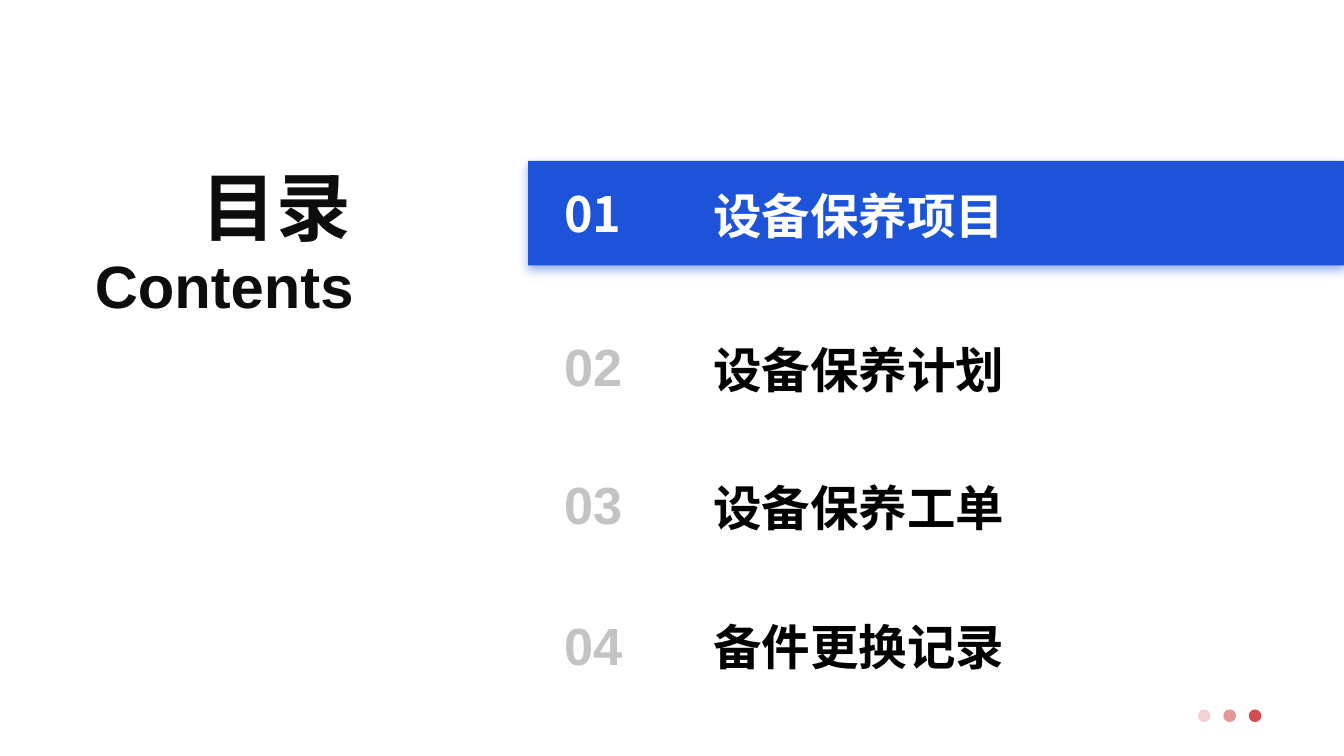
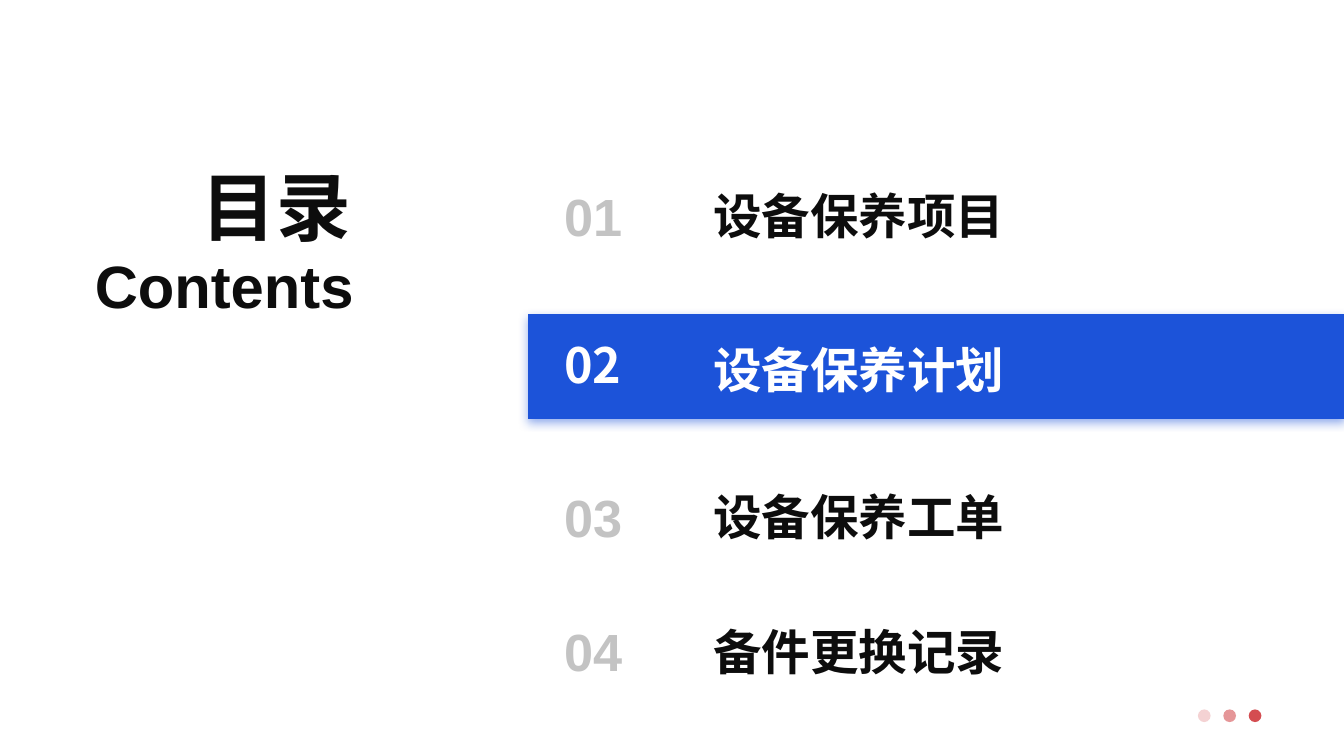
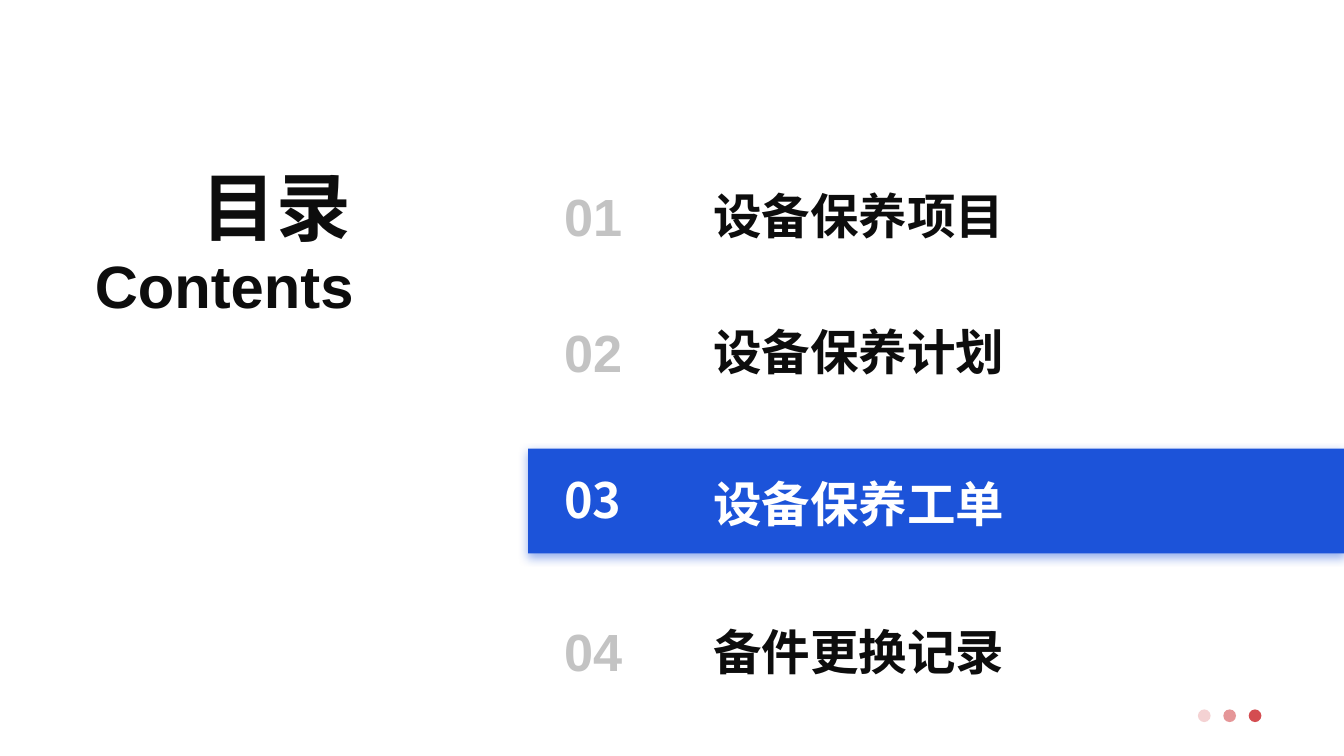
from pptx import Presentation
from pptx.dml.color import RGBColor
from pptx.enum import shapes, text
from pptx.oxml import ns
from pptx.util import Cm, Pt
from lxml import etree

BLUE, RED, WHITE = "1C53D9", "D44D51", "FFFFFF"
BLACK, INK, GREY = "000000", "0D0D0D", "C3C3C3"
CHINESE, LATIN = "Noto Sans CJK SC", "Arial"

ENTRIES = ["设备保养项目", "设备保养计划", "设备保养工单", "备件更换记录"]
NUMBER_LEFT, LABEL_LEFT = 10.41, 13.23
BAND_LEFT, BAND_HEIGHT, BAND_RISE = 13.23 - 3.25, 1.98, 0.36
SLIDE_WIDTH, SLIDE_HEIGHT = 25.4, 14.29

# Active entry, label colour, then (number top, label top) of each entry
AGENDAS = [
    (0, BLACK, [(3.35, 3.4), (6.2, 6.3), (8.81, 8.92), (11.46, 11.53)]),
    (1, INK, [(3.35, 3.4), (6.2, 6.3), (9.04, 9.09), (11.58, 11.63)]),
    (2, INK, [(3.35, 3.4), (5.92, 5.97), (8.76, 8.84), (11.58, 11.63)]),
]


def rgb(value):
    return RGBColor.from_string(value)


def add_child(parent, tag, **attributes):
    return etree.SubElement(parent, ns.qn(tag), attributes)


def add_text(slide, content, box, size, font, color, align="LEFT", wrap=False):
    """Add a bold one-line text box; box is left, top, width, height in cm."""
    frame = slide.shapes.add_textbox(*map(Cm, box)).text_frame
    frame.word_wrap = wrap
    frame.auto_size = text.MSO_AUTO_SIZE.SHAPE_TO_FIT_TEXT
    paragraph = frame.paragraphs[0]
    paragraph.alignment = text.PP_ALIGN[align]
    run = paragraph.add_run()
    run.text = content
    for name, value in {"size": Pt(size), "bold": True, "name": font}.items():
        setattr(run.font, name, value)
    run.font.color.rgb = rgb(color)
    add_child(run.font._element, "a:ea", typeface=font)


def add_filled_shape(parent, kind, box, color, opacity=100):
    shape = parent.shapes.add_shape(kind, *map(Cm, box))
    shape.shadow.inherit = False
    shape.fill.solid()
    shape.fill.fore_color.rgb = rgb(color)
    shape.line.fill.background()
    if opacity < 100:
        fill = shape._element.spPr.find(ns.qn("a:solidFill"))
        add_child(fill[0], "a:alpha", val=str(opacity * 1000))
    return shape


def add_band(slide, top):
    """Add the highlight band with its soft shadow below."""
    box = (BAND_LEFT, top, SLIDE_WIDTH - BAND_LEFT, BAND_HEIGHT)
    band = add_filled_shape(slide, shapes.MSO_SHAPE.RECTANGLE, box, BLUE)
    effects = band._element.spPr.find(ns.qn("a:effectLst"))
    shadow = add_child(effects, "a:outerShdw", blurRad=str(Pt(5)), dist=str(Pt(2)),
                       dir="5400000", algn="t", rotWithShape="0")
    color = add_child(shadow, "a:srgbClr", val=BLUE)
    add_child(color, "a:alpha", val="46000")


def add_heading(slide):
    add_text(slide, "目录", (3.53, 2.92, 3.35, 1.96), 40, CHINESE, INK, "RIGHT")
    add_text(slide, "Contents", (1.5, 4.57, 5.44, 1.62), 32, LATIN, INK, "RIGHT")


def add_dots(slide):
    group = slide.shapes.add_group_shape()
    for index, opacity in enumerate((25, 59, 100)):
        box = (22.64 + 0.48 * index, 13.41, 0.24, 0.24)
        add_filled_shape(group, shapes.MSO_SHAPE.OVAL, box, RED, opacity)


def add_entry(slide, number, label, tops, label_color, active):
    number_top, label_top = tops
    if active:
        add_band(slide, label_top - BAND_RISE)
        add_text(slide, number, (NUMBER_LEFT, number_top, 1.6, 1.45), 26, CHINESE, WHITE)
    else:
        add_text(slide, number, (NUMBER_LEFT, number_top, 1.75, 1.45), 28, LATIN, GREY,
                 wrap=True)
    add_text(slide, label, (LABEL_LEFT, label_top, 6.02, 1.37), 26, CHINESE,
             WHITE if active else label_color)


def main():
    presentation = Presentation()
    presentation.slide_width = Cm(SLIDE_WIDTH)
    presentation.slide_height = Cm(SLIDE_HEIGHT)
    for active, label_color, rows in AGENDAS:
        slide = presentation.slides.add_slide(presentation.slide_layouts[6])
        add_heading(slide)
        for index, (label, tops) in enumerate(zip(ENTRIES, rows)):
            add_entry(slide, f"{index + 1:02}", label, tops, label_color, index == active)
        add_dots(slide)
    presentation.save("out.pptx")


if __name__ == "__main__":
    main()
